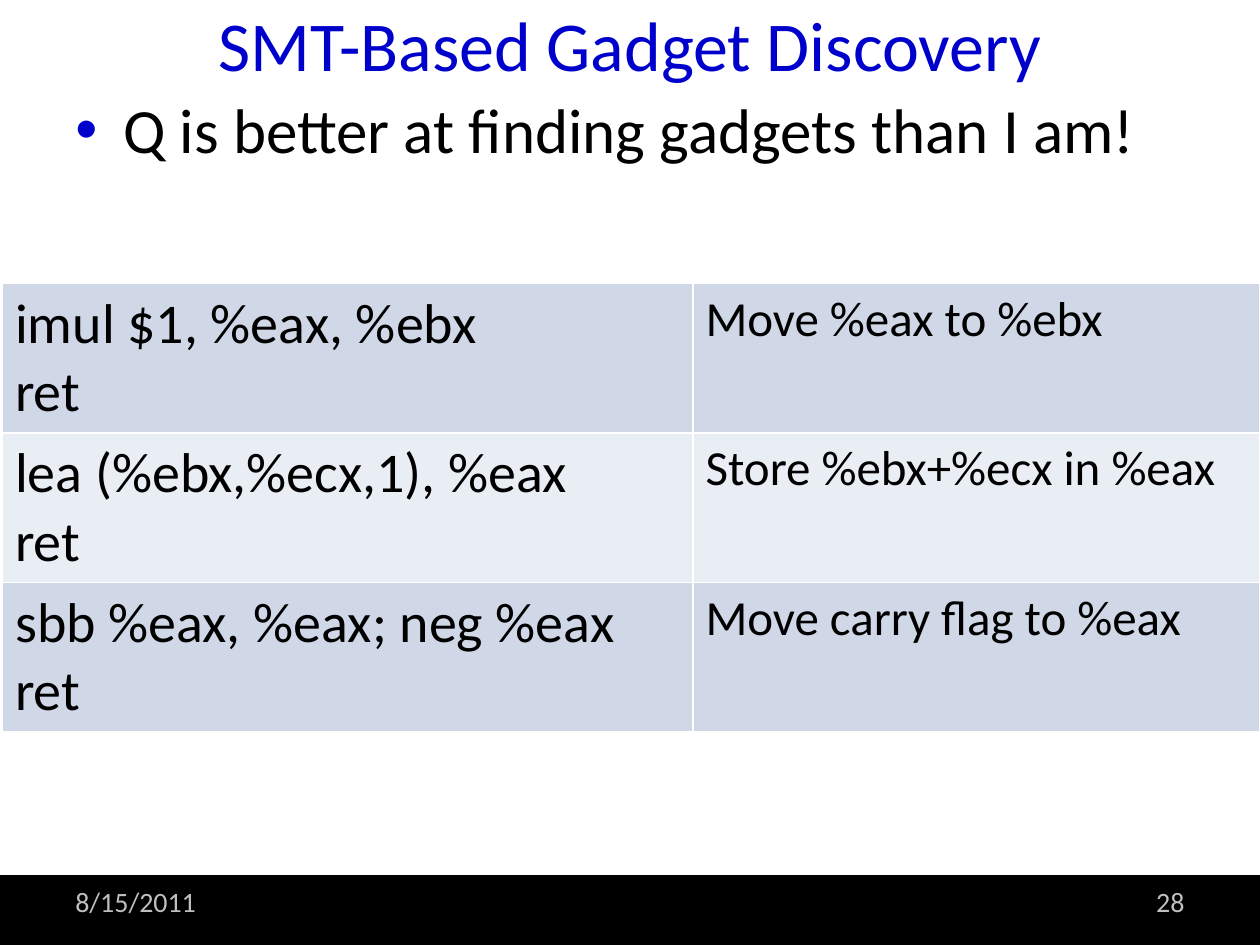
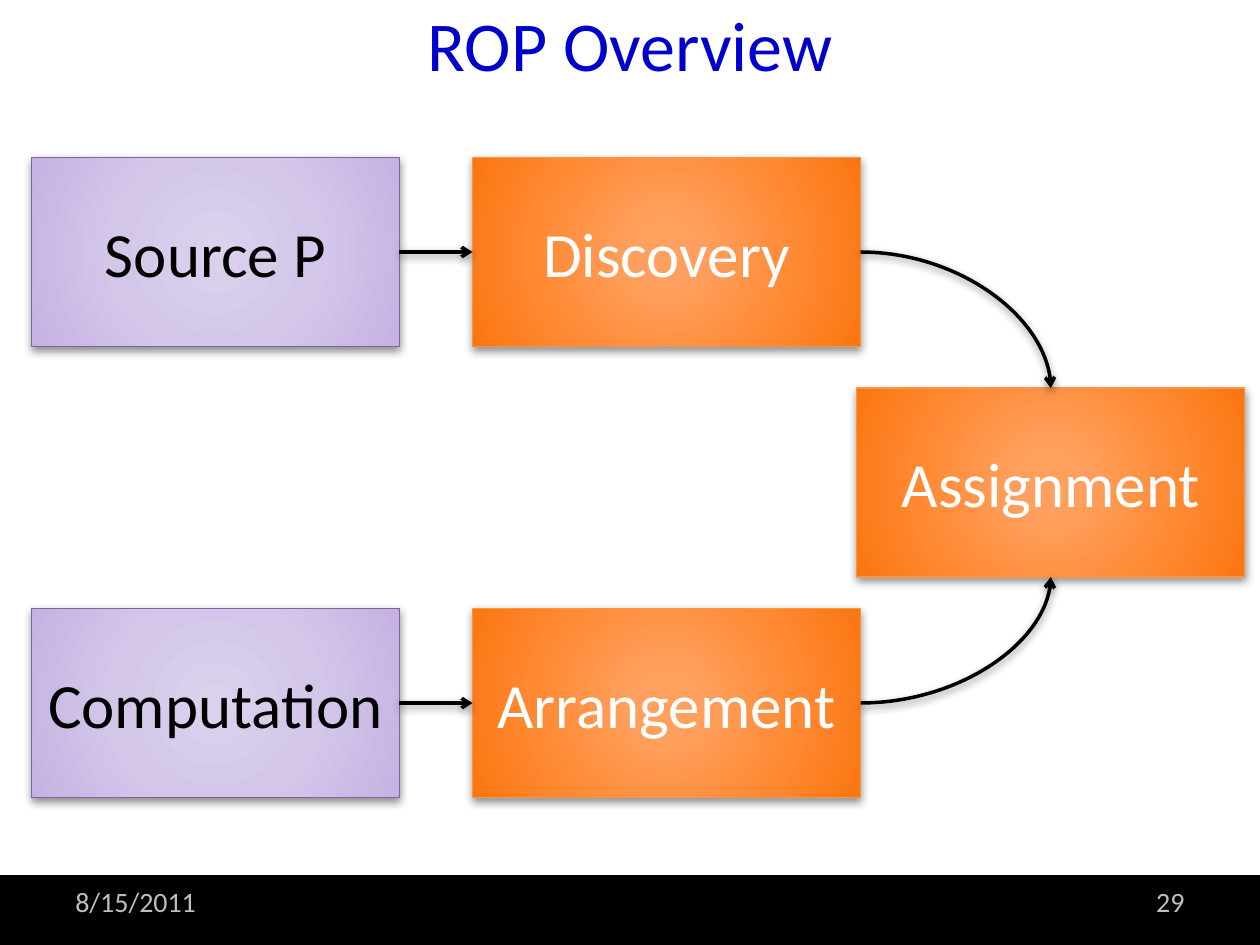
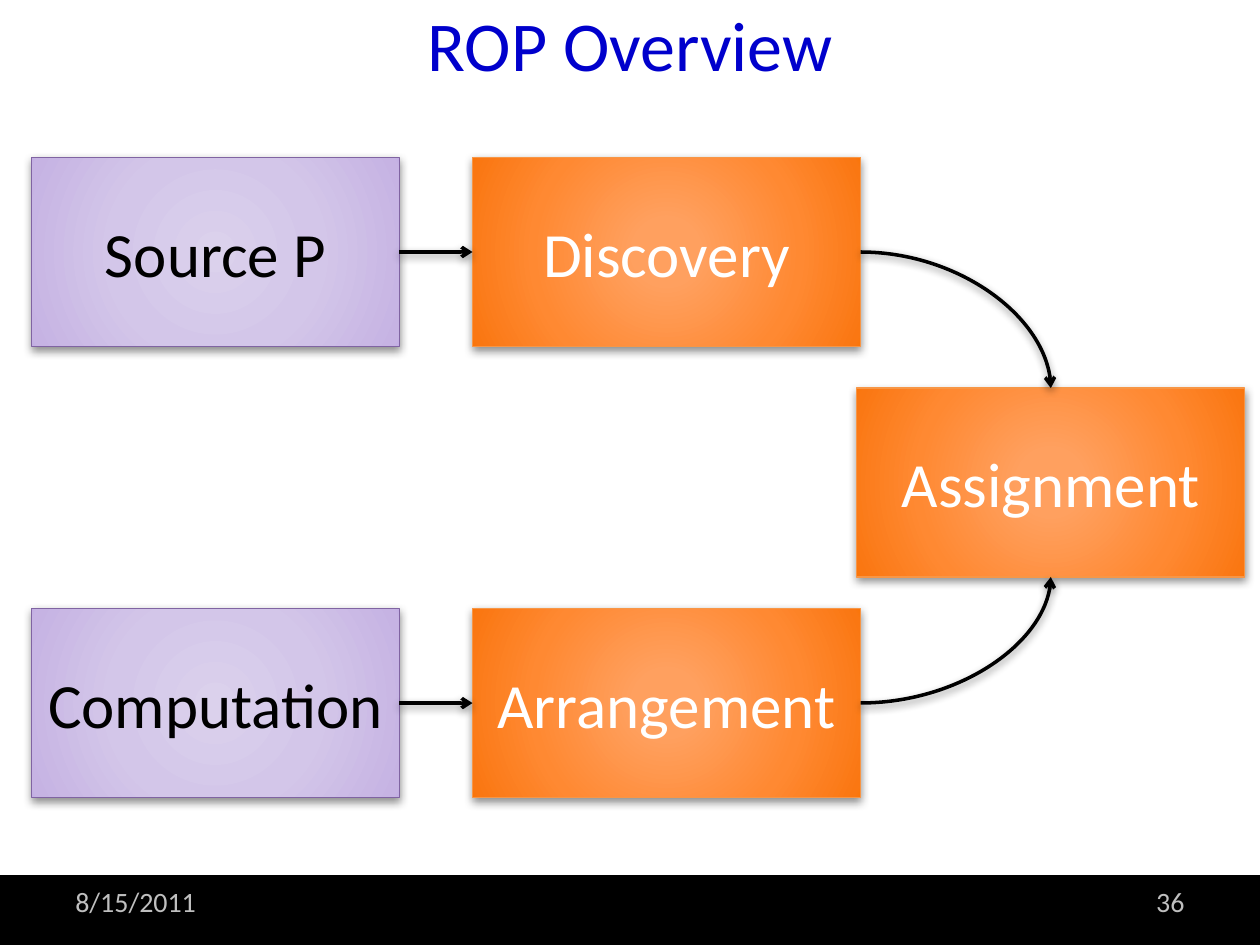
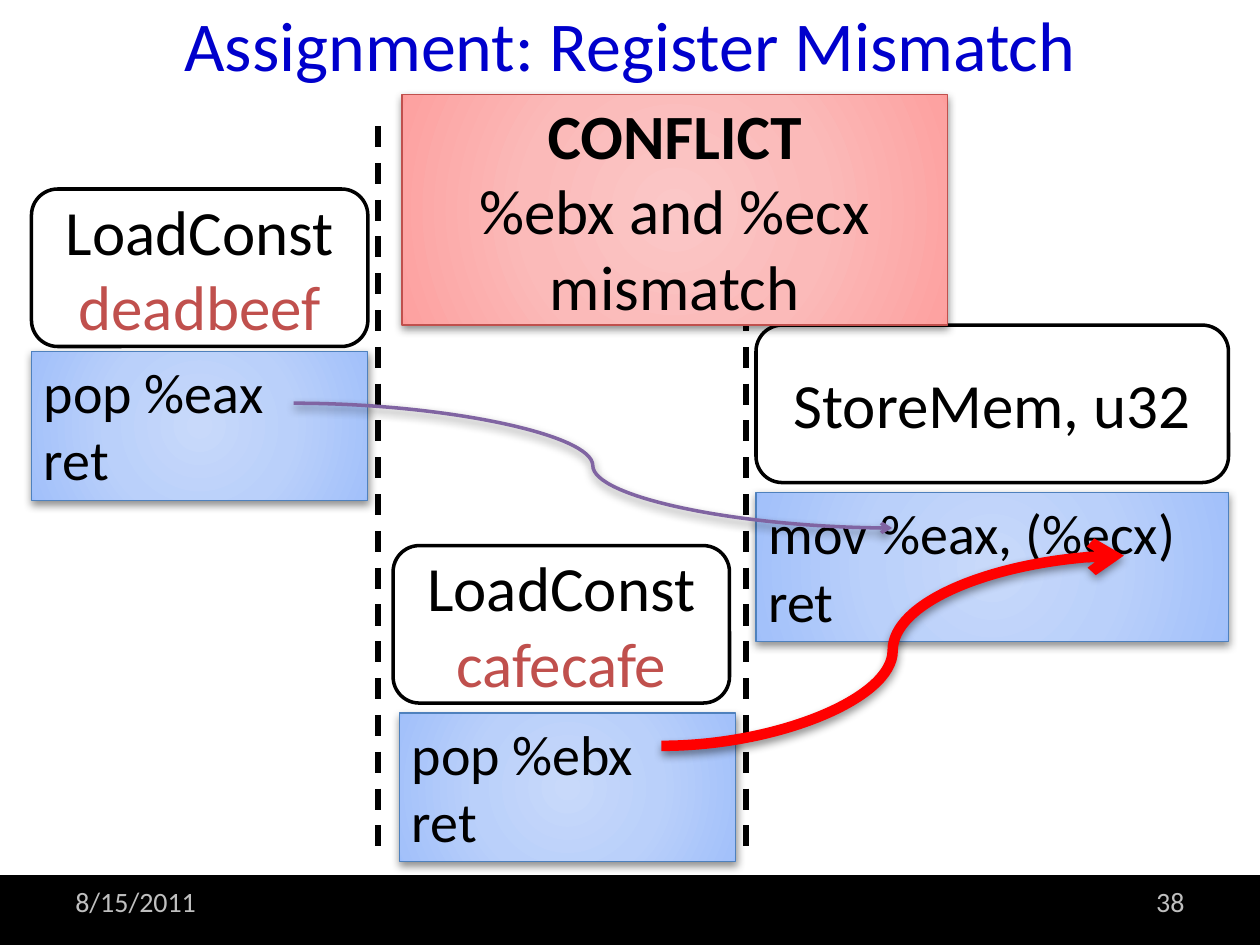
from lxml import etree
from pptx import Presentation
from pptx import util as u
from pptx.dml.color import RGBColor
from pptx.enum import dml, shapes, text
from pptx.oxml.ns import qn

BLACK = RGBColor(0x00, 0x00, 0x00)
WHITE = RGBColor(0xFF, 0xFF, 0xFF)
TITLE_BLUE = RGBColor(0x00, 0x00, 0xCC)
FOOTER_GRAY = RGBColor(0xBF, 0xBF, 0xBF)
CONST_RED = RGBColor(0xC0, 0x50, 0x4D)
ALERT_RED = RGBColor(0xFF, 0x00, 0x00)
PURPLE = RGBColor(0x80, 0x64, 0xA2)
ORANGE = RGBColor(0xF7, 0x96, 0x46)
BLUE = RGBColor(0x4F, 0x81, 0xBD)
ROW_DARK = RGBColor(0xD0, 0xD8, 0xE8)
ROW_LIGHT = RGBColor(0xE9, 0xED, 0xF4)

GRADIENTS = {
    PURPLE: [(0, "DBD1EC"), (50, "D3C6E9"), (97, "C6B3E3"), (100, "C2ACE3")],
    ORANGE: [(0, "FFA061"), (15, "FFA05F"), (62, "FF8932"), (97, "FA7712"), (100, "FB7507")],
    BLUE: [(0, "C8D9FA"), (50, "BAD0FA"), (97, "A3C1FA"), (100, "99BCFD")],
    CONST_RED: [(0, "FBC7C7"), (50, "FBBAB9"), (97, "FDA2A1"), (100, "FF9A98")],
}

LEFT, CENTER, RIGHT = text.PP_ALIGN.LEFT, text.PP_ALIGN.CENTER, text.PP_ALIGN.RIGHT
TOP, MIDDLE = text.MSO_ANCHOR.TOP, text.MSO_ANCHOR.MIDDLE
RECT, ROUND = shapes.MSO_SHAPE.RECTANGLE, shapes.MSO_SHAPE.ROUNDED_RECTANGLE


def inches(*values):
    return [u.Inches(v) for v in values]


def sub(parent, tag, **attrs):
    el = etree.SubElement(parent, qn(tag))
    for name, value in attrs.items():
        el.set(name, str(value))
    return el


class Deck:
    font = "Calibri"
    date = "8/15/2011"

    def __init__(self):
        self.prs = Presentation()
        self.prs.slide_width, self.prs.slide_height = inches(10, 7.5)
        self.layout = self.prs.slide_layouts[5]
        self.s = None

    def slide(self, title, number):
        first = self.s is None
        self.s = self.prs.slides.add_slide(self.layout)
        if first:
            self.footer_band()
        sp = self.s.shapes.title
        sp.left, sp.top, sp.width, sp.height = inches(0.5, 0, 9, 0.69)
        self.set_text(sp.text_frame, [title], 40, TITLE_BLUE, CENTER, MIDDLE)
        self.label([self.date], (0.5, 6.95, 2.33, 0.4), 16, FOOTER_GRAY, LEFT, MIDDLE)
        self.label([str(number)], (7.17, 6.95, 2.33, 0.4), 16, FOOTER_GRAY, RIGHT, MIDDLE)

    def footer_band(self):
        sp = self.shape(RECT, (0, 6.95, 10, 0.55), BLACK, 0.75, BLACK)
        self.layout.shapes.element.append(sp.element)

    def set_text(self, tf, lines, size, color=BLACK, align=LEFT, anchor=TOP):
        tf.word_wrap = True
        tf.auto_size = text.MSO_AUTO_SIZE.NONE
        tf.vertical_anchor = anchor
        self.fill_lines(tf, lines, size, color, align)

    def fill_lines(self, tf, lines, size, color=BLACK, align=LEFT):
        for i, line in enumerate(lines):
            words, changes = line if isinstance(line, tuple) else (line, {})
            p = tf.paragraphs[0] if i == 0 else tf.add_paragraph()
            p.alignment = align
            r = p.add_run()
            r.text = words
            style = {"name": self.font, "size": u.Pt(size), "bold": False, "color": color, **changes}
            r.font.color.rgb = style.pop("color")
            for key, value in style.items():
                setattr(r.font, key, value)

    def label(self, lines, at, size, color=BLACK, align=LEFT, anchor=TOP):
        sp = self.s.shapes.add_textbox(*inches(*at))
        self.set_text(sp.text_frame, lines, size, color, align, anchor)
        return sp

    def bullet(self, words, at, size):
        p = self.label([words], at, size).text_frame.paragraphs[0]
        pPr = p._p.get_or_add_pPr()
        pPr.set("marL", str(u.Inches(0.38)))
        pPr.set("indent", str(-u.Inches(0.38)))
        sub(sub(pPr, "a:buClr"), "a:srgbClr", val=TITLE_BLUE)
        sub(pPr, "a:buFont", typeface="Arial")
        sub(pPr, "a:buChar", char="•")

    def shadow(self, effects):
        shade = sub(effects, "a:outerShdw", blurRad=u.Pt(5), dist=u.Pt(2), dir=5400000, rotWithShape=0)
        sub(sub(shade, "a:srgbClr", val=BLACK), "a:alpha", val=43000)

    def shape(self, kind, at, line, width, fill):
        sp = self.s.shapes.add_shape(kind, *inches(*at))
        sp.shadow.inherit = False
        sp.fill.solid()
        sp.fill.fore_color.rgb = fill
        sp.line.color.rgb = line
        sp.line.width = u.Pt(width)
        return sp

    def glow_box(self, lines, at, accent, size=36, color=BLACK, align=CENTER, anchor=MIDDLE):
        sp = self.shape(RECT, at, accent, 0.75, accent)
        sp.fill.gradient()
        spPr = sp.element.spPr
        grad = spPr.find(qn("a:gradFill"))
        for child in list(grad):
            grad.remove(child)
        stops = sub(grad, "a:gsLst")
        for position, tint in GRADIENTS[accent]:
            sub(sub(stops, "a:gs", pos=position * 1000), "a:srgbClr", val=tint)
        sub(sub(grad, "a:path", path="circle"), "a:fillToRect", l=50000, t=50000, r=50000, b=50000)
        self.shadow(spPr.find(qn("a:effectLst")))
        self.set_text(sp.text_frame, lines, size, color, align, anchor)
        return sp

    def code_box(self, code, left, top, width):
        sp = self.glow_box([code, "ret"], (left, top, width, 1.18), BLUE, 32, align=LEFT, anchor=TOP)
        sp.text_frame.auto_size = text.MSO_AUTO_SIZE.SHAPE_TO_FIT_TEXT

    def operation(self, lines, left, top, width):
        sp = self.shape(ROUND, (left, top, width, 1.25), BLACK, 2, WHITE)
        self.set_text(sp.text_frame, lines, 36, BLACK, CENTER, MIDDLE)

    def connector(self, start, end, color=BLACK, width=2, preset="line", arrow=True):
        kind = shapes.MSO_CONNECTOR.STRAIGHT if preset == "line" else shapes.MSO_CONNECTOR.CURVE
        cx = self.s.shapes.add_connector(kind, *inches(*start, *end))
        spPr = cx._element.spPr
        spPr.find(qn("a:prstGeom")).set("prst", preset)
        cx.line.color.rgb = color
        cx.line.width = u.Pt(width)
        if arrow:
            sub(spPr.find(qn("a:ln")), "a:tailEnd", type="arrow")
        else:
            cx.line.dash_style = dml.MSO_LINE.DASH
        effects = sub(spPr, "a:effectLst")
        if arrow:
            self.shadow(effects)

    def table(self, rows, at, widths, sizes):
        tbl = self.s.shapes.add_table(len(rows), len(widths), *inches(*at)).table
        tbl.first_row = tbl.horz_banding = False
        for col, width in zip(tbl.columns, widths):
            col.width = u.Inches(width)
        for i, row in enumerate(rows):
            for j, lines in enumerate(row):
                cell = tbl.cell(i, j)
                cell.fill.solid()
                cell.fill.fore_color.rgb = ROW_LIGHT if i % 2 else ROW_DARK
                self.fill_lines(cell.text_frame, lines, sizes[j])
                self.cell_borders(cell)

    def cell_borders(self, cell):
        tcPr = cell._tc.get_or_add_tcPr()
        for i, side in enumerate(("a:lnL", "a:lnR", "a:lnT", "a:lnB")):
            ln = sub(tcPr, side, w=u.Pt(1))
            sub(sub(ln, "a:solidFill"), "a:srgbClr", val=WHITE)
            tcPr.insert(i, ln)


def gadget_slide(d):
    d.slide("SMT-Based Gadget Discovery", 28)
    d.bullet("Q is better at finding gadgets than I am!", (0.5, 0.67, 9, 0.75), 36)
    gadgets = [
        ("imul $1, %eax, %ebx", "Move %eax to %ebx"),
        ("lea (%ebx,%ecx,1), %eax", "Store %ebx+%ecx in %eax"),
        ("sbb %eax, %eax; neg %eax", "Move carry flag to %eax"),
    ]
    rows = [([code, "ret"], [meaning]) for code, meaning in gadgets]
    d.table(rows, (0.02, 2.25, 9.98, 3.54), (5.48, 4.5), (32, 28))


def overview_slide(d, number):
    d.slide("ROP Overview", number)
    height, stage_left, stage_width = 1.5, 3.75, 3.08
    input_left, input_width = 0.25, 2.92
    goal_left, goal_top = 6.8, 3.08
    goal_center = goal_left + stage_width / 2
    flows = [
        ("Source P", "Discovery", 1.25, goal_top),
        ("Computation", "Arrangement", 4.83, goal_top + height),
    ]
    for source, stage, top, _ in flows:
        d.glow_box([source], (input_left, top, input_width, height), PURPLE)
        d.glow_box([stage], (stage_left, top, stage_width, height), ORANGE, color=WHITE)
    d.glow_box(["Assignment"], (goal_left, goal_top, stage_width, height), ORANGE, color=WHITE)
    for _, _, top, goal_edge in flows:
        y = top + height / 2
        d.connector((input_left + input_width, y), (stage_left, y))
        d.connector((stage_left + stage_width, y), (goal_center, goal_edge), preset="curvedConnector2")


def mismatch_slide(d):
    d.slide("Assignment: Register Mismatch", 38)
    d.operation(["StoreMem, u32"], 6, 2.58, 3.75)
    for value, left, top in (("deadbeef", 0.25, 1.5), ("cafecafe", 3.12, 4.33)):
        d.operation(["LoadConst", (value, {"color": CONST_RED})], left, top, 2.67)
    for x in (3, 5.92):
        d.connector((x, 1), (x, 6.75), width=3, arrow=False)
    d.code_box("pop %eax", 0.25, 2.79, 2.67)
    d.code_box("pop %ebx", 3.17, 5.66, 2.67)
    d.code_box("mov %eax, (%ecx)", 6, 3.91, 3.75)
    conflict = [("CONFLICT", {"bold": True}), "%ebx and %ecx mismatch"]
    d.glow_box(conflict, (3.19, 0.75, 4.33, 1.83), CONST_RED)
    d.connector((5.25, 5.92), (8.92, 4.41), ALERT_RED, 6, "curvedConnector3")
    d.connector((2.33, 3.2), (7.08, 4.19), PURPLE, 2, "curvedConnector3")


def main():
    d = Deck()
    gadget_slide(d)
    for number in (29, 36):
        overview_slide(d, number)
    mismatch_slide(d)
    d.prs.save("out.pptx")


if __name__ == "__main__":
    main()
